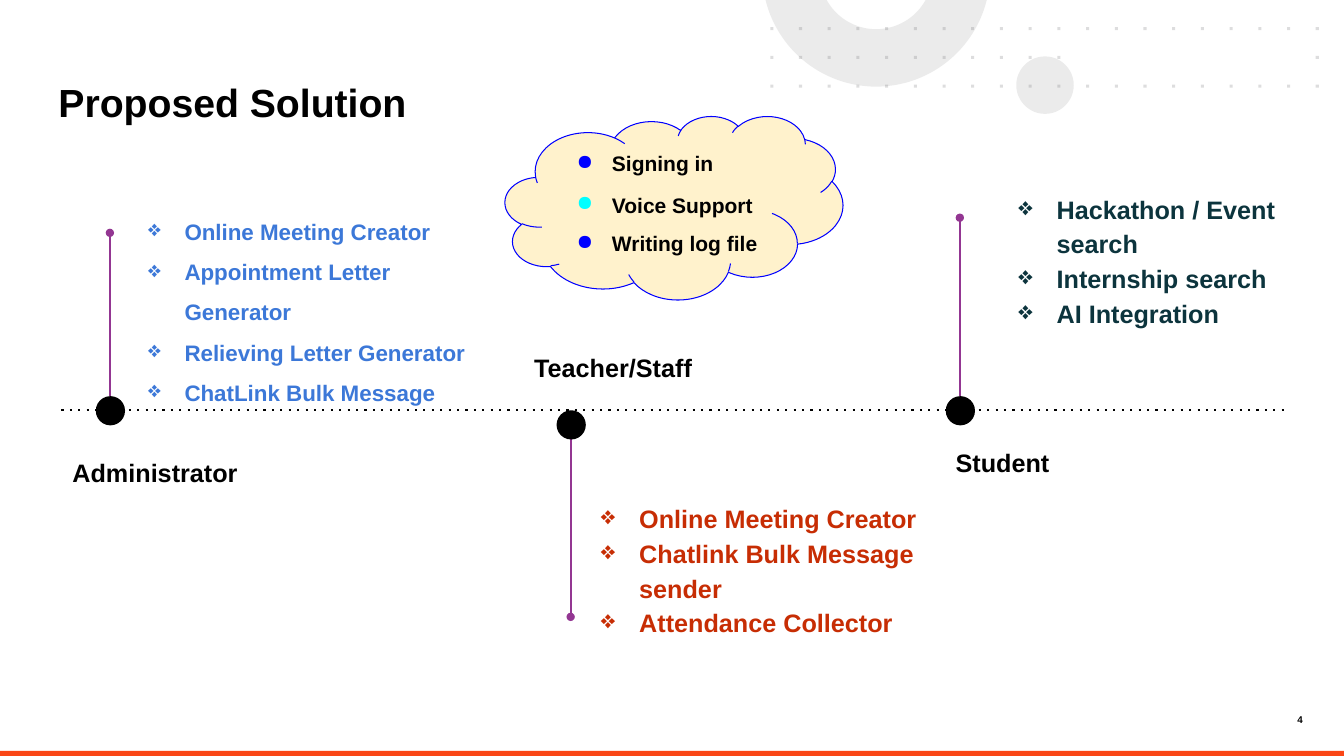
from math import asin, cos, pi, sin

from lxml.etree import SubElement
from pptx import Presentation
from pptx.dml.color import RGBColor
from pptx.enum.shapes import MSO_CONNECTOR, MSO_SHAPE
from pptx.enum.text import MSO_ANCHOR, MSO_AUTO_SIZE, PP_ALIGN
from pptx.oxml.ns import qn
from pptx.util import Inches, Pt


def shade(code):
    return RGBColor.from_string(code)


def tag(node, name, **keys):
    return SubElement(node, qn(name), **keys)


def write(frame, text, size=18, color="000000", align=None, inset=0.1,
          mark=None, dents=(0.5, -0.36), tints=None, gaps=None,
          space=None, anchor=MSO_ANCHOR.TOP):
    frame.word_wrap = True
    frame.vertical_anchor = anchor
    frame.margin_left = frame.margin_right = Inches(inset)
    frame.margin_top = frame.margin_bottom = Inches(inset)
    for row, words in enumerate(text.split("\n")):
        para = frame.add_paragraph() if row else frame.paragraphs[0]
        para.alignment = align or PP_ALIGN.LEFT
        if space:
            para.line_spacing = space
        if gaps and row:
            para.space_before = Pt(gaps[row - 1])
        if mark:
            props = para._p.get_or_add_pPr()
            props.set("marL", str(Inches(dents[0])))
            props.set("indent", str(Inches(dents[1])))
            tint = tints[row] if tints else color
            tag(tag(props, "a:buClr"), "a:srgbClr", val=tint)
            tag(props, "a:buChar", char=mark)
        run = para.add_run()
        run.text = words
        run.font.name = "Arial"
        run.font.size = Pt(size)
        run.font.bold = True
        run.font.color.rgb = shade(color)


class Board:
    """Hold the slide and its style, and draw each kind of element."""

    ink = "000000"
    stem = "933692"
    pale = "D8D8D8"

    def __init__(self, slide):
        self.slide = slide
        self.shapes = slide.shapes

    def paint(self, shape, color, alpha=None, edge=None):
        shape.shadow.inherit = False
        shape.fill.solid()
        shape.fill.fore_color.rgb = shade(color)
        if alpha:
            node = shape._element.spPr.find(qn("a:solidFill"))[0]
            tag(node, "a:alpha", val=str(alpha * 1000))
        if edge:
            shape.line.color.rgb = shade(edge)
            shape.line.width = Pt(0.75)
        else:
            shape.line.fill.background()
        return shape

    def shape(self, kind, box, color, **style):
        item = self.shapes.add_shape(kind, *map(Inches, box))
        return self.paint(item, color, **style)

    def outline(self, loops, color, alpha):
        loops = [[(Inches(x), Inches(y)) for x, y in loop] for loop in loops]
        form = self.shapes.build_freeform(*loops[0][0], scale=1.0)
        for turn, loop in enumerate(loops):
            if turn:
                form.move_to(*loop[0])
            form.add_line_segments(loop[1:], close=True)
        return self.paint(form.convert_to_shape(), color, alpha)

    def text(self, box, words, grow=False, **style):
        frame = self.shapes.add_textbox(*map(Inches, box)).text_frame
        write(frame, words, **style)
        if grow:
            frame.auto_size = MSO_AUTO_SIZE.SHAPE_TO_FIT_TEXT

    def line(self, start, end, color, dash=None, tail=None):
        link = self.shapes.add_connector(
            MSO_CONNECTOR.STRAIGHT, *map(Inches, start + end))
        link.line.color.rgb = shade(color)
        link.line.width = Pt(1.5)
        edge = link.line._get_or_add_ln()
        if dash:
            tag(edge, "a:prstDash", val=dash)
        if tail:
            tag(edge, "a:tailEnd", type=tail)
        tag(link._element.spPr, "a:effectLst")

    def ring(self, mid, rise, radii):
        edge = []
        for radius, way in zip(radii, (1, -1)):
            low = asin(rise / radius)
            arc = [low + (pi - 2 * low) * i / 60 for i in range(61)][::way]
            edge += [(mid + radius * cos(a), radius * sin(a) - rise)
                     for a in arc]
        self.outline([edge], self.pale, 49)

    def dots(self, left, top, side, width, count):
        loops = []
        for row in range(3):
            for col in range(count):
                x = left + width * col / (count - 1)
                y = top + 0.285 * row
                if row != 1 or not 10.65 < x < 12.92:
                    loops.append([(x, y), (x + side, y),
                                  (x + side, y + side), (x, y + side)])
        self.outline(loops, "58595B", 20)

    def stop(self, mid, top, start, end):
        self.line((mid, start), (mid, end), self.stem, tail="oval")
        self.shape(MSO_SHAPE.OVAL, (mid - 0.14, top, 0.29, 0.29), self.ink)


def main():
    deck = Presentation()
    deck.slide_width, deck.slide_height = Inches(13.33), Inches(7.5)
    board = Board(deck.slides.add_slide(deck.slide_layouts[6]))

    board.text((12.53, 7.08, 0.39, 0.13), "4", size=7, inset=0,
               align=PP_ALIGN.RIGHT)
    board.shape(MSO_SHAPE.RECTANGLE, (0, 7.45, 13.33, 0.05), "FA4616")
    board.shape(MSO_SHAPE.OVAL, (10.08, 0.56, 0.57, 0.57), board.pale,
                alpha=49)
    board.ring(8.69, 0.27, (1.13, 0.56))
    board.dots(7.64, 0.27, 0.03, 5.41, 20)

    board.text((0.45, 0.65, 12.42, 0.83), "Proposed Solution", size=28,
               inset=0.13)
    board.line((0.61, 4.07), (12.76, 4.07), board.ink, dash="dot")
    for stop in ((1.09, 3.93, 3.93, 2.31), (9.52, 3.93, 3.93, 2.16),
                 (5.66, 4.07, 4.35, 6.12)):
        board.stop(*stop)

    lists = (
        ((1.2, 1.9, 3.88, 1.42), 16, "3C78D8", 1.5, -0.36,
         "Online Meeting Creator\nAppointment Letter Generator\n"
         "Relieving Letter Generator\nChatLink Bulk Message"),
        ((9.85, 1.75, 3.35, 2.05), 18, "0C343D", 1.15, -0.38,
         "Hackathon / Event search\nInternship search\nAI Integration"),
        ((5.71, 4.82, 3.51, 1.91), 18, "C72D04", 1.15, -0.38,
         "Online Meeting Creator\nChatlink Bulk Message sender\n"
         "Attendance Collector"),
    )
    for box, size, color, space, dent, words in lists:
        board.text(box, words, size=size, color=color, space=space,
                   inset=0.13, mark="❖", dents=(0.5, dent))

    cloud = board.shape(MSO_SHAPE.CLOUD, (5.01, 1.15, 3.35, 1.82), "FFF2CC",
                        edge="0000FF")
    write(cloud.text_frame, "Signing in\nVoice Support\nWriting log file",
          size=15, mark="●", dents=(0.5, -0.35), gaps=(11.5, 9.5),
          tints=("0000FF", "00FFFF", "0000FF"), anchor=MSO_ANCHOR.MIDDLE)

    for left, top, width, name in ((0.62, 4.44, 1.98, "Administrator"),
                                   (5.2, 3.4, 1.98, "Teacher/Staff"),
                                   (9.38, 4.34, 3.92, "Student")):
        board.text((left, top, width, 0.5), name, grow=True)

    deck.save("out.pptx")


if __name__ == "__main__":
    main()
